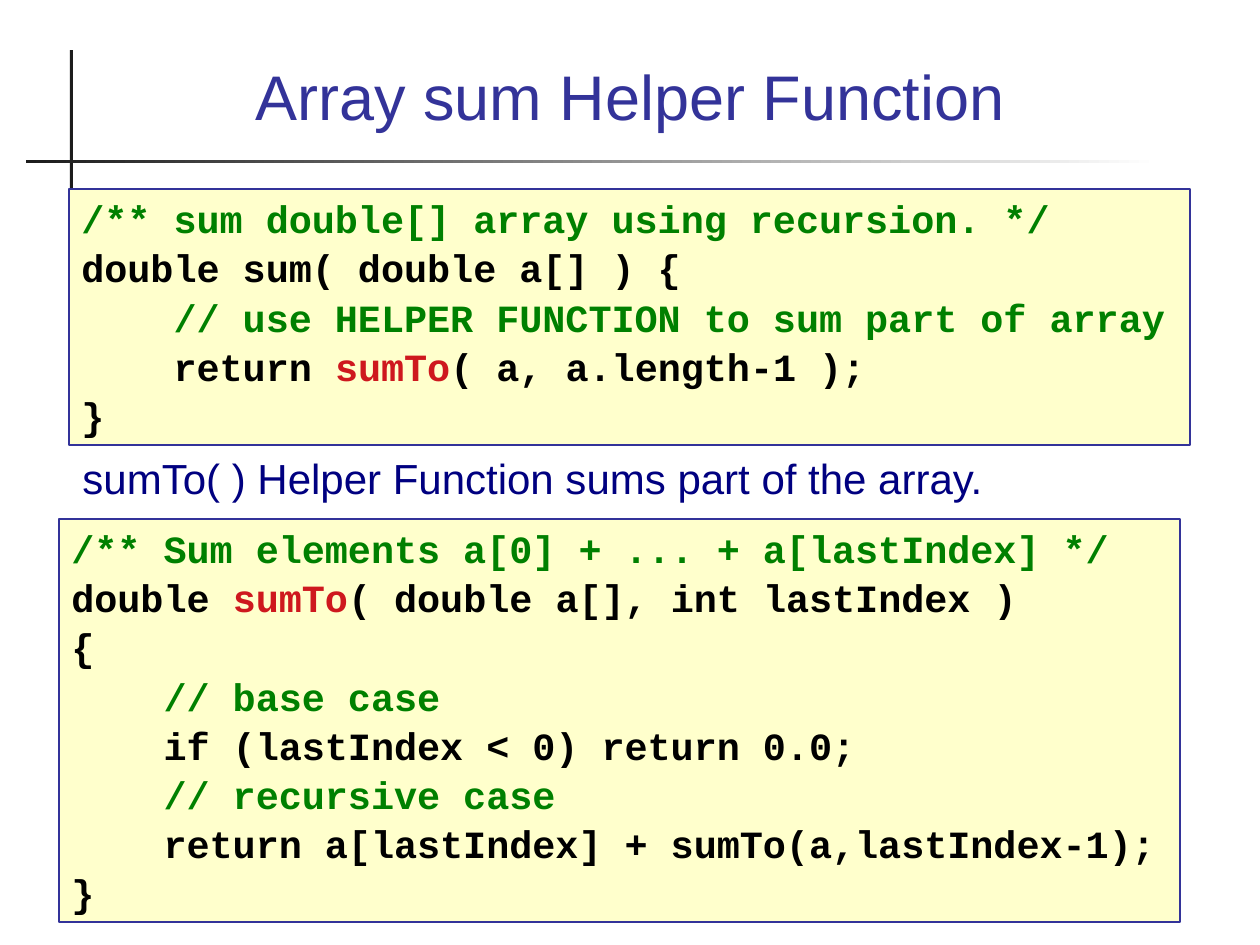
from pptx import Presentation
from pptx.dml.color import RGBColor
from pptx.enum.shapes import MSO_SHAPE as Preset
from pptx.enum.text import MSO_ANCHOR as Anchor, PP_ALIGN as Align
from pptx.util import Pt

EMU_PER_PX = 914400 / 126
INDIGO = RGBColor(0x33, 0x33, 0x99)
NAVY = RGBColor(0x00, 0x00, 0x80)
CREAM = RGBColor(0xFF, 0xFF, 0xCC)
GREEN = RGBColor(0x00, 0x80, 0x00)
RED = RGBColor(0xCE, 0x18, 0x1E)
BLACK = RGBColor(0x00, 0x00, 0x00)
CHARCOAL = RGBColor(0x1C, 0x1C, 0x1C)
WHITE = RGBColor(0xFF, 0xFF, 0xFF)

SUM_CODE = [
    [("/** sum double[] array using recursion. */", GREEN)],
    [("double sum( double a[] ) {", BLACK)],
    [("    // use HELPER FUNCTION to sum part of array", GREEN)],
    [("    return ", BLACK), ("sumTo", RED), ("( a, a.length-1 );", BLACK)],
    [("}", BLACK)],
]
SUM_TO_CODE = [
    [("/** Sum elements a[0] + ... + a[lastIndex] */", GREEN)],
    [("double ", BLACK), ("sumTo", RED), ("( double a[], int lastIndex )", BLACK)],
    [("{", BLACK)],
    [("    // base case", GREEN)],
    [("    if (lastIndex < 0) return 0.0;", BLACK)],
    [("    // recursive case", GREEN)],
    [("    return a[lastIndex] + sumTo(a,lastIndex-1);", BLACK)],
    [("}", BLACK)],
]


def px(*lengths):
    return [round(length * EMU_PER_PX) for length in lengths]


class SlideBuilder:
    text_font = "Arial"
    code_font = "Courier New"

    def __init__(self, slide):
        self.slide = slide

    def style(self, paragraph, name, size, color=None, bold=False):
        font = paragraph.font
        font.name, font.size, font.bold = name, Pt(size), bold
        if color is not None:
            font.color.rgb = color

    def title(self, box, text):
        shape = self.slide.shapes.title
        shape.left, shape.top, shape.width, shape.height = px(*box)
        frame = shape.text_frame
        frame.text = text
        frame.vertical_anchor = Anchor.MIDDLE
        frame.paragraphs[0].alignment = Align.CENTER
        self.style(frame.paragraphs[0], self.text_font, 36, INDIGO)

    def text(self, box, text):
        frame = self.slide.shapes.add_textbox(*px(*box)).text_frame
        frame.word_wrap = True
        frame.text = text
        frame.paragraphs[0].space_before = Pt(6)
        self.style(frame.paragraphs[0], self.text_font, 24, NAVY)

    def rectangle(self, box):
        shape = self.slide.shapes.add_shape(Preset.RECTANGLE, *px(*box))
        shape.shadow.inherit = False
        return shape

    def bar(self, box, fade=False):
        shape = self.rectangle(box)
        shape.line.fill.background()
        if fade:
            shape.fill.gradient()
            shape.fill.gradient_angle = 0
            for stop, color in zip(shape.fill.gradient_stops, (CHARCOAL, WHITE)):
                stop.color.rgb = color
        else:
            shape.fill.solid()
            shape.fill.fore_color.rgb = CHARCOAL

    def code(self, box, lines):
        shape = self.rectangle(box)
        shape.fill.solid()
        shape.fill.fore_color.rgb = CREAM
        shape.line.color.rgb = INDIGO
        shape.line.width = Pt(1.5)
        frame = shape.text_frame
        frame.word_wrap = True
        frame.vertical_anchor = Anchor.TOP
        for index, line in enumerate(lines):
            paragraph = frame.add_paragraph() if index else frame.paragraphs[0]
            paragraph.alignment = Align.LEFT
            paragraph.space_before = Pt(1.7)
            self.style(paragraph, self.code_font, 22, bold=True)
            for text, color in line:
                run = paragraph.add_run()
                run.text = text
                run.font.color.rgb = color


def main():
    presentation = Presentation()
    presentation.slide_width, presentation.slide_height = px(1260, 945)
    slide = presentation.slides.add_slide(presentation.slide_layouts[5])
    builder = SlideBuilder(slide)
    builder.bar((70, 50, 3, 144))
    builder.bar((26, 160, 1133, 3), fade=True)
    builder.title((84, 35, 1092, 120), "Array sum Helper Function")
    builder.text((70, 446, 1091, 72), "sumTo( ) Helper Function sums part of the array.")
    builder.code((59, 519, 1121, 403), SUM_TO_CODE)
    builder.code((69, 189, 1121, 256), SUM_CODE)
    presentation.save("out.pptx")


if __name__ == "__main__":
    main()
